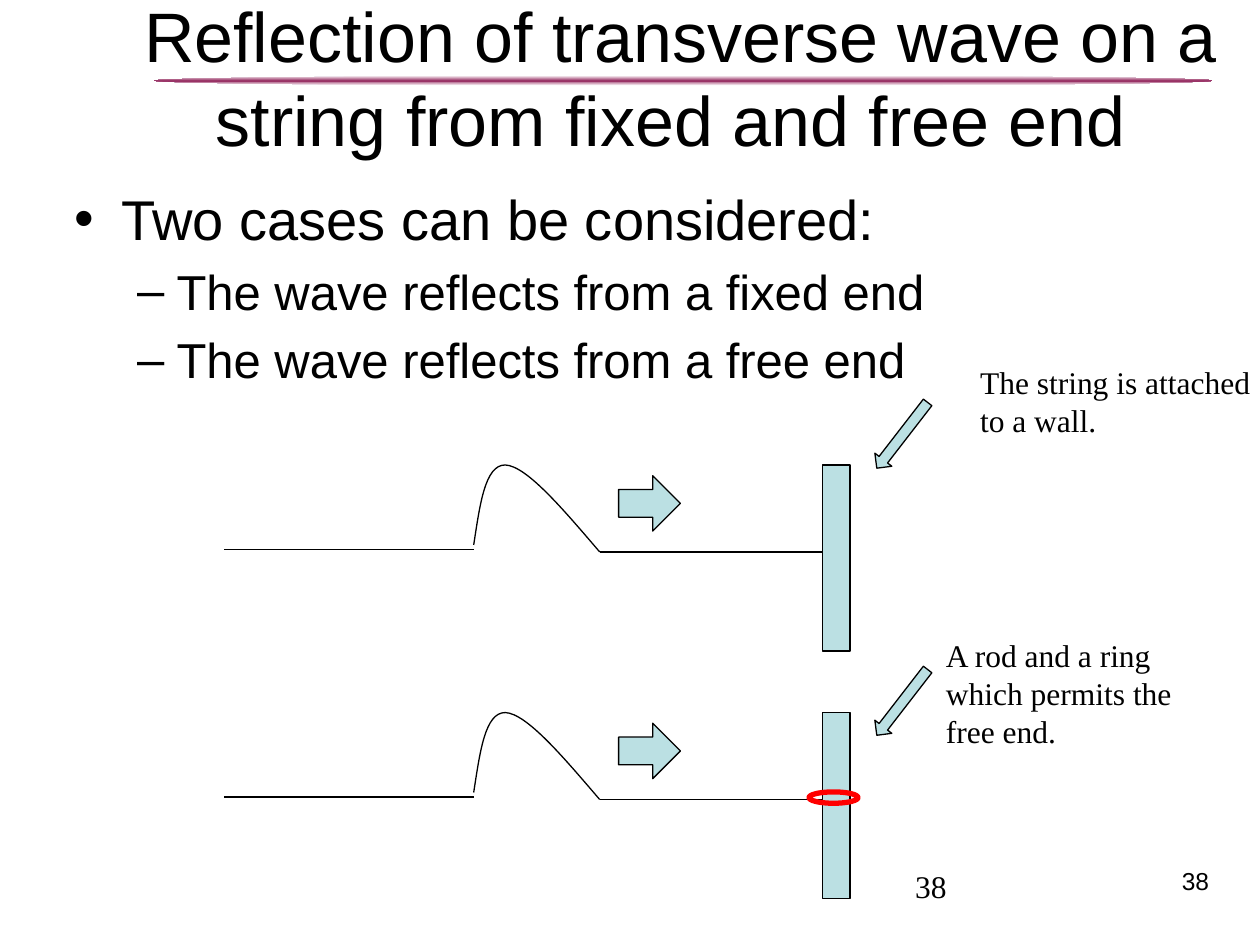
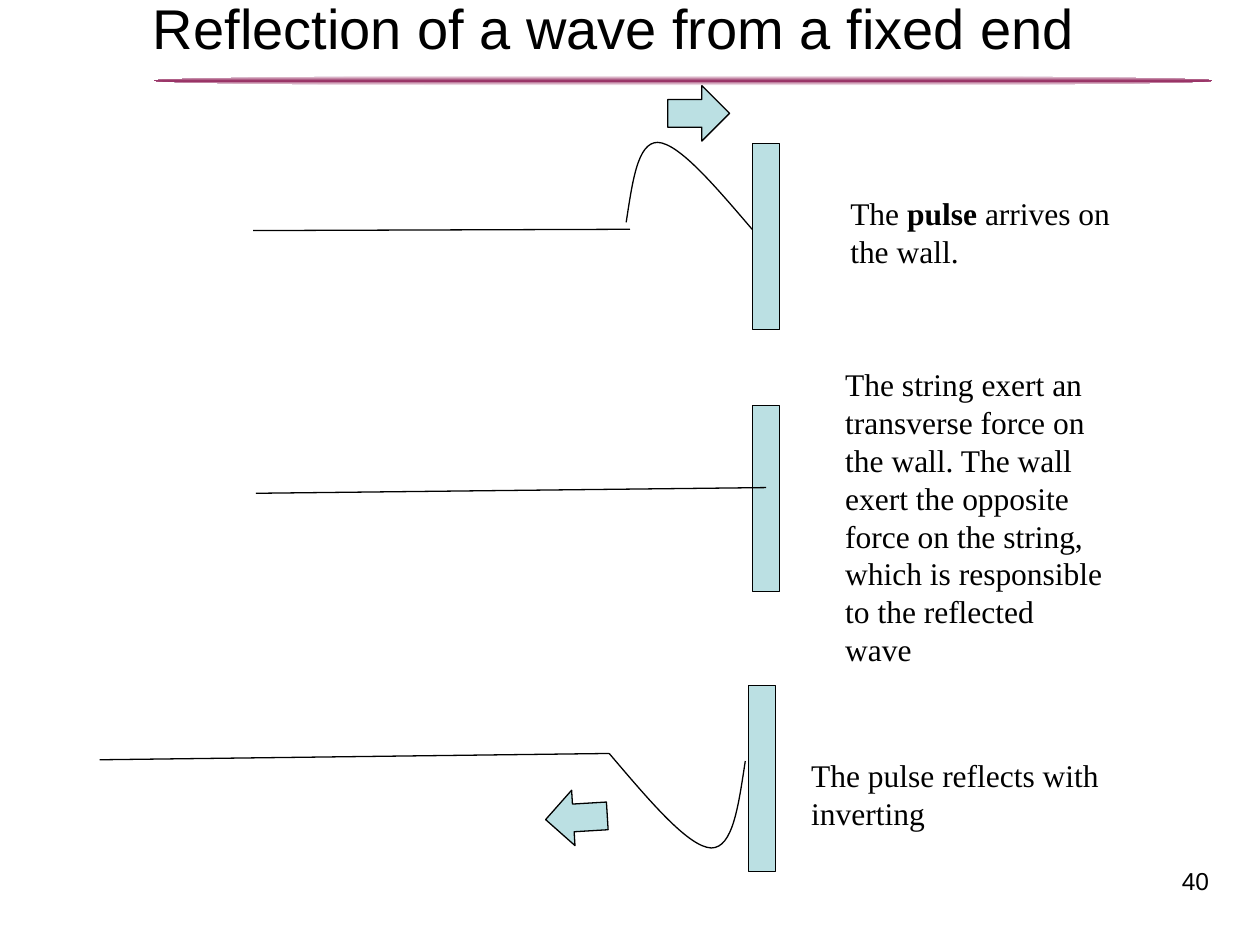
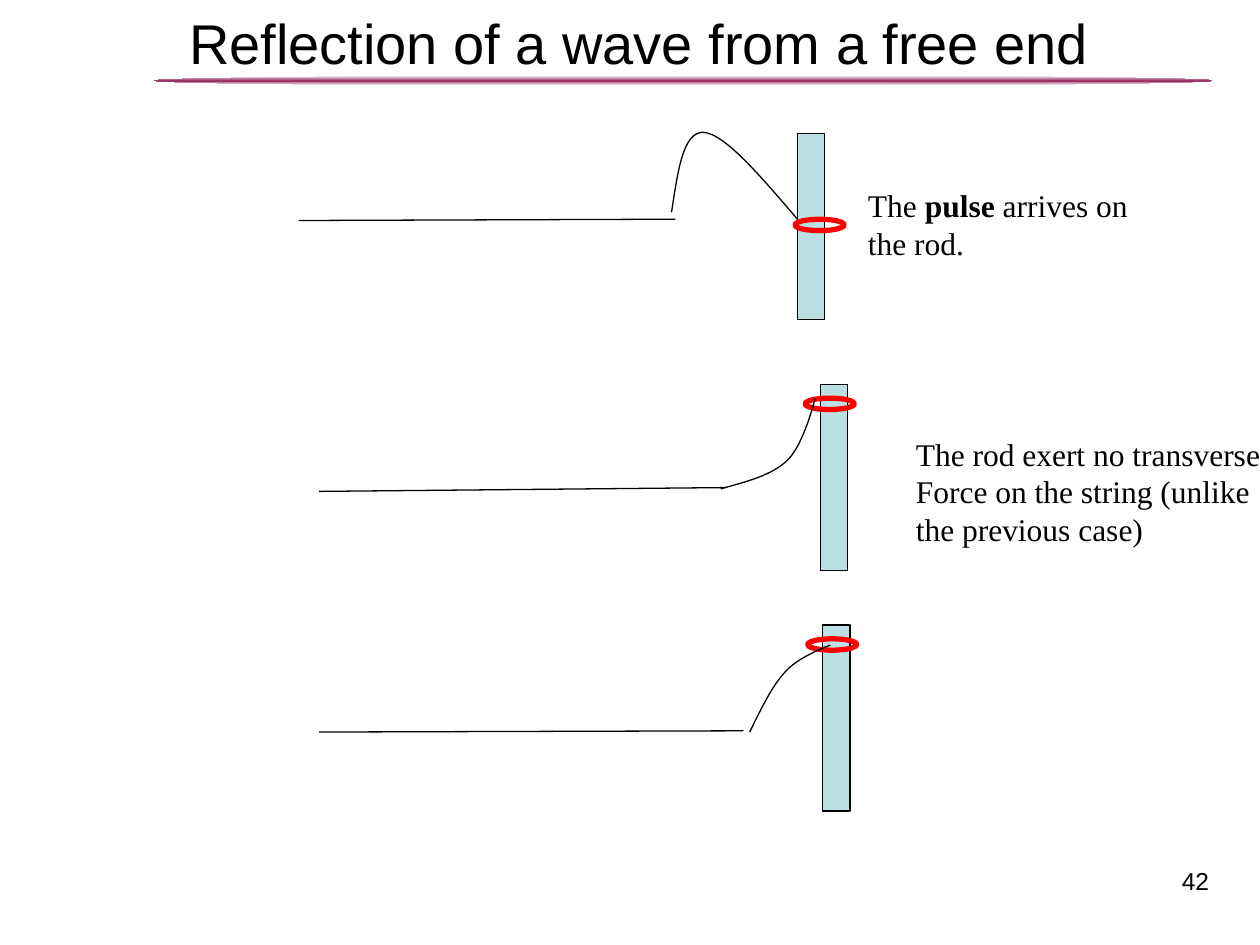
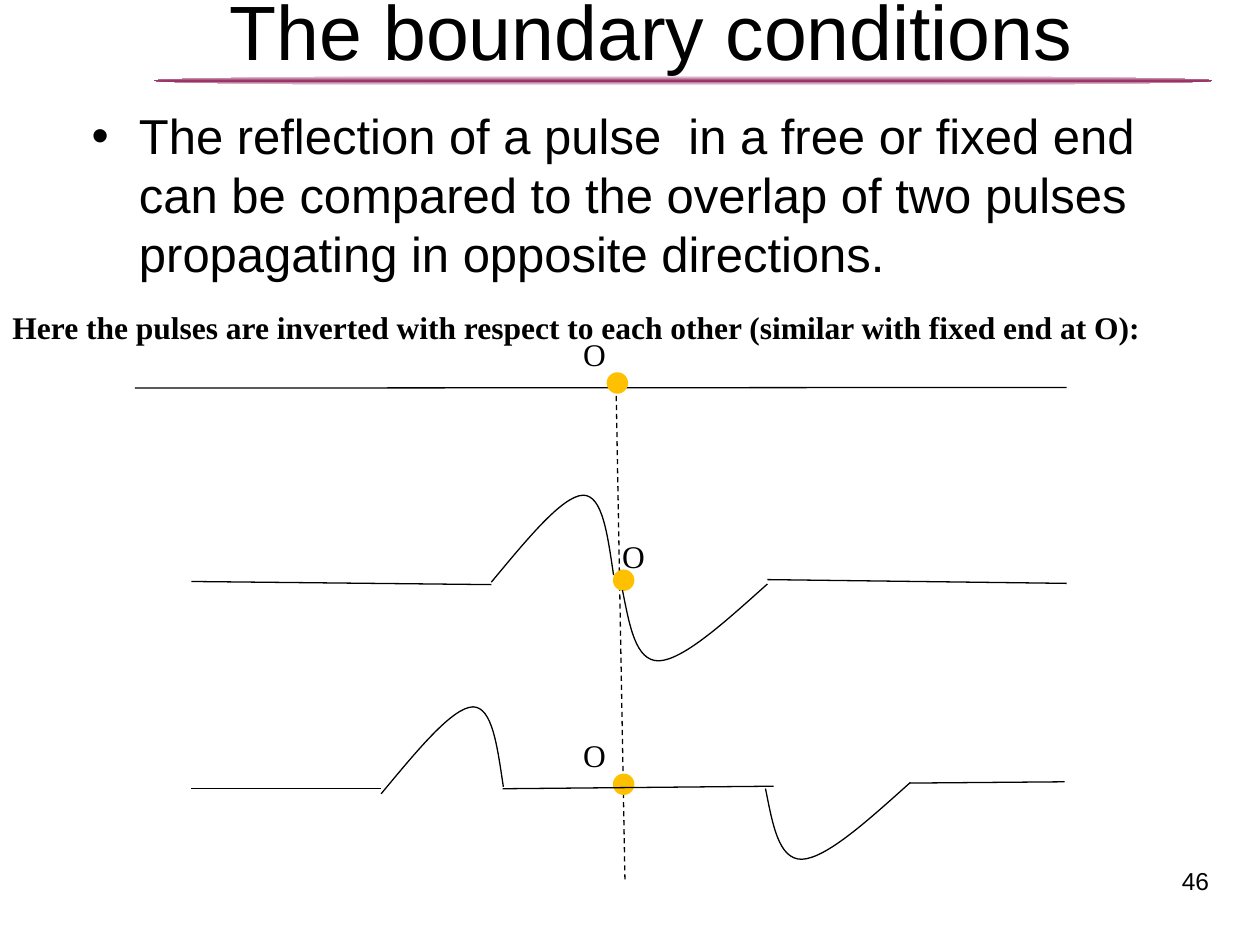
from copy import deepcopy
from dataclasses import dataclass

from lxml import etree
from pptx import Presentation
from pptx.dml.color import RGBColor
from pptx.enum.dml import MSO_LINE
from pptx.enum.shapes import MSO_CONNECTOR, MSO_SHAPE
from pptx.enum.text import MSO_ANCHOR, MSO_AUTO_SIZE, PP_ALIGN
from pptx.oxml.ns import qn
from pptx.util import Emu, Inches, Pt

RECTANGLE, ELLIPSE, ARROW = MSO_SHAPE.RECTANGLE, MSO_SHAPE.OVAL, MSO_SHAPE.RIGHT_ARROW
STRAIGHT, DASH = MSO_CONNECTOR.STRAIGHT, MSO_LINE.DASH
LEFT, CENTER, RIGHT = PP_ALIGN.LEFT, PP_ALIGN.CENTER, PP_ALIGN.RIGHT
TOP, NO_AUTOFIT = MSO_ANCHOR.TOP, MSO_AUTO_SIZE.NONE

COLUMNS = 100  # square grid cells: 100 columns by 75 rows
TITLE_ONLY = 5

# Bezier control points in a unit box, three more for each further segment
PULSE = ((0, 0.92), (0.05, 0.45), (0.09, 0), (0.25, 0), (0.42, 0.01), (0.71, 0.51), (1, 1))
STEEP_RISE = ((0, 1), (0.27, 0.92), (0.55, 0.85), (0.71, 0.68), (0.88, 0.51), (1, 0), (1, 0))
FLAT_RISE = ((0, 1), (0.14, 0.74), (0.28, 0.46), (0.45, 0.3), (0.61, 0.13), (1, 0), (1, 0))


@dataclass(frozen=True)
class Theme:
    ink: RGBColor = RGBColor(0, 0, 0)
    paper: RGBColor = RGBColor(255, 255, 255)
    rule: RGBColor = RGBColor(0x99, 0x33, 0x66)
    solid: RGBColor = RGBColor(0xBB, 0xE0, 0xE3)
    ring: RGBColor = RGBColor(255, 0, 0)
    dot: RGBColor = RGBColor(255, 0xC0, 0)
    heading_font: str = "Arial"
    note_font: str = "Times New Roman"
    title_size: int = 32
    number_size: int = 14
    note_size: int = 18
    thin: float = 0.75
    thick: float = 3
    line_height: float = 1.2
    paragraph_gap: float = 0.2


class Deck:
    """Holds the theme and the current slide; every length is in grid cells."""

    def __init__(self, theme):
        self.theme = theme
        self.presentation = Presentation()
        self.presentation.slide_width = Inches(10)
        self.presentation.slide_height = Inches(7.5)
        self.cell = self.presentation.slide_width / COLUMNS
        self.slide = None

    def cells(self, *counts):
        return [Emu(round(count * self.cell)) for count in counts]

    def style(self, paragraph, size, font, align=LEFT):
        paragraph.alignment = align
        paragraph.line_spacing = Pt(size * self.theme.line_height)
        paragraph.font.size = Pt(size)
        paragraph.font.name = font
        paragraph.font.color.rgb = self.theme.ink

    def start_slide(self, title, left, top, number, size=None, right_margin=1):
        layout = self.presentation.slide_layouts[TITLE_ONLY]
        self.slide = self.presentation.slides.add_slide(layout)
        shape = self.slide.shapes.title
        shape.left, shape.top, shape.width, shape.height = self.cells(left, top, 90, 12.5)
        frame = shape.text_frame
        frame.text = title
        frame.vertical_anchor = TOP
        frame.auto_size = NO_AUTOFIT
        frame.margin_right, = self.cells(right_margin)
        self.style(frame.paragraphs[0], size or self.theme.title_size, self.theme.heading_font, CENTER)
        self.style(self.text_frame(73.65, 68.2, 23.3, 4.5, number).paragraphs[0],
                   self.theme.number_size, self.theme.heading_font, RIGHT)

    def text_frame(self, left, top, width, height, text=""):
        frame = self.slide.shapes.add_textbox(*self.cells(left, top, width, height)).text_frame
        frame.word_wrap = True
        frame.text = text
        return frame

    def note(self, left, top, width, height, *lines, bold=None):
        """Add a text box; the words given as bold stand out in each line."""
        frame = self.text_frame(left, top, width, height)
        for index, line in enumerate(lines):
            paragraph = frame.add_paragraph() if index else frame.paragraphs[0]
            self.style(paragraph, self.theme.note_size, self.theme.note_font)
            for part in filter(None, line.partition(bold) if bold else (line,)):
                run = paragraph.add_run()
                run.text = part
                if part == bold:
                    run.font.bold = True

    def bullets(self, left, top, *items):
        """Add items of (level, size, text)."""
        frame = self.text_frame(left, top, 90, 49.5)
        for index, (level, size, text) in enumerate(items):
            paragraph = frame.add_paragraph() if index else frame.paragraphs[0]
            mark, margin, indent = (("•", 3.75, -3.75), ("–", 8.13, -3.13))[level]
            properties = paragraph._p.get_or_add_pPr()
            for name, length in zip(("marL", "indent"), self.cells(margin, indent)):
                properties.set(name, str(length))
            etree.SubElement(properties, qn("a:buFont")).set("typeface", self.theme.heading_font)
            etree.SubElement(properties, qn("a:buChar")).set("char", mark)
            paragraph.level = level
            paragraph.text = text
            if index:
                paragraph.space_before = Pt(size * self.theme.paragraph_gap)
            self.style(paragraph, size, self.theme.heading_font)

    def outline(self, shape, fill=None, color=None, weight=None):
        shape.shadow.inherit = False
        if fill is None:
            shape.fill.background()
        else:
            shape.fill.solid()
            shape.fill.fore_color.rgb = fill
        shape.line.color.rgb = color or self.theme.ink
        shape.line.width = Pt(weight or self.theme.thin)

    def shape(self, kind, left, top, width, height):
        return self.slide.shapes.add_shape(kind, *self.cells(left, top, width, height))

    def wall(self, left, top):
        self.outline(self.shape(RECTANGLE, left, top, 2.17, 14.76), self.theme.solid)

    def arrow(self, left, top, width=4.9, height=4.4, rotation=0):
        arrow = self.shape(ARROW, left, top, width, height)
        arrow.rotation = rotation
        self.outline(arrow, self.theme.solid)

    def ring(self, left, top):
        self.outline(self.shape(ELLIPSE, left, top, 3.9, 0.9), None, self.theme.ring, self.theme.thick)

    def dot(self, left, top):
        self.outline(self.shape(ELLIPSE, left, top, 1.6, 1.6), self.theme.dot, self.theme.dot)

    def line(self, x1, y1, x2, y2, dash=None):
        connector = self.slide.shapes.add_connector(STRAIGHT, *self.cells(x1, y1, x2, y2))
        connector.line.color.rgb = self.theme.ink
        connector.line.width = Pt(self.theme.thin)
        if dash:
            connector.line.dash_style = dash
        etree.SubElement(connector.element.spPr, qn("a:effectLst"))

    def curve(self, controls, left, top, width=10, height=6.9, mirrored=False, inverted=False):
        """Draw a Bezier chain: every three line steps become one cubic segment."""
        points = [self.cells(left + width * (1 - x if mirrored else x),
                             top + height * (1 - y if inverted else y))
                  for x, y in controls]
        builder = self.slide.shapes.build_freeform(*points[0])
        builder.add_line_segments(points[1:], close=False)
        shape = builder.convert_to_shape()
        steps = list(shape.element.iter(qn("a:lnTo")))
        for first in range(0, len(steps), 3):
            segment = etree.Element(qn("a:cubicBezTo"))
            steps[first].addprevious(segment)
            for step in steps[first:first + 3]:
                segment.append(step[0])
                step.getparent().remove(step)
        self.outline(shape)

    def add_rule_to_layout(self):
        """Draw the tapered rule and hand it to the layout all slides share."""
        rule = self.shape(ELLIPSE, 12.25, 6, 84, 0.8)
        rule.shadow.inherit = False
        rule.line.fill.background()
        rule.fill.gradient()
        rule.fill.gradient_angle = 90
        stop_list = rule.element.find(".//" + qn("a:gsLst"))
        stop_list.insert(1, deepcopy(stop_list[0]))
        colors = (self.theme.paper, self.theme.rule, self.theme.paper)
        for stop, position, color in zip(rule.fill.gradient_stops, (0, 0.5, 1), colors):
            stop.position = position
            stop.color.rgb = color
        self.slide.slide_layout.shapes.element.append(rule.element)


def add_two_cases(deck):
    deck.start_slide("Reflection of transverse wave on a string from fixed and free end ",
                     9, -1.1, "38", size=40)
    deck.bullets(4.9, 14.13,
                 (0, 32, "Two cases can be considered:"),
                 (1, 28, "The wave reflects from a fixed end"),
                 (1, 28, "The wave reflects from a free end"))
    deck.note(71.65, 68.3, 23.3, 5.2, "38")
    for top, pointer_top in ((36.9, 33.7), (56.55, 54.9)):
        deck.line(47.6, top + 6.9, 67.5, top + 6.9)
        deck.wall(65.3, top)
        deck.curve(PULSE, 37.6, top)
        deck.line(17.8, top + 6.7, 37.6, top + 6.7)
        deck.arrow(49.1, top + 0.85)
        deck.arrow(68.3, pointer_top, 6.6, 1.7, rotation=127.7)
    deck.ring(64.2, 62.85)
    deck.note(74.1, 50, 20, 10.1, "A rod and a ring which permits the free end.")
    deck.note(76.8, 28.3, 26.8, 7.1, "The string is attached", "to a wall.")


def add_fixed_end(deck):
    deck.start_slide("Reflection of a wave from a fixed end", 5, -1, "40", right_margin=3.5)
    for left, top in ((59.7, 11.4), (59.7, 32.2), (59.4, 54.4)):
        deck.wall(left, top)
    deck.curve(PULSE, 49.7, 11.3)
    deck.line(20.1, 18.3, 50, 18.2)
    deck.arrow(53, 6.8)
    deck.note(66.5, 14.9, 22.8, 10.1, "The pulse arrives on the wall.", bold="pulse")
    deck.line(20.3, 39.15, 60.8, 38.7)
    deck.note(66.1, 28.5, 22.8, 22.2,
              "The string exert an transverse force on the wall. The wall exert the opposite "
              "force on the string, which is responsible to the reflected wave")
    deck.line(7.9, 60.3, 48.35, 59.8)
    deck.curve(PULSE, 48.35, 59.8, 10.8, 7.5, mirrored=True, inverted=True)
    deck.arrow(43.3, 62.7, rotation=176.5)
    deck.note(63.4, 59.5, 33.6, 4, "The pulse reflects with inverting")


def add_free_end(deck):
    deck.start_slide("Reflection of a wave from a free end", 7, 0.2, "42", right_margin=3.5)
    for left, top in ((63.3, 10.6), (65.1, 30.5), (65.3, 49.6)):
        deck.wall(left, top)
    for left, top in ((63.1, 17.4), (63.9, 31.6), (64.1, 50.7)):
        deck.ring(left, top)
    deck.curve(PULSE, 53.3, 10.5)
    deck.line(23.7, 17.5, 53.6, 17.4)
    deck.line(25.3, 39, 57.6, 38.7)
    deck.curve(STEEP_RISE, 57.2, 31.6, 7.5, 7.2)
    deck.line(25.3, 58.1, 59, 58)
    deck.curve(FLAT_RISE, 59.5, 51.2, 6.4, 6.9)
    deck.note(67.9, 14.3, 22.8, 7.1, "The pulse arrives on the rod.", bold="pulse")
    deck.note(71.7, 34, 29.9, 10.1, "The rod exert no transverse",
              "Force on the string (unlike the previous case)")


def add_boundary_conditions(deck):
    deck.start_slide("The boundary conditions", 6.7, -1.8, "46", size=44)
    deck.bullets(6.3, 7.9, (0, 28, "The reflection of a pulse  in a free or fixed end can be compared "
                                   "to the overlap of two pulses propagating in opposite directions."))
    heading = "Here the pulses are inverted with respect to each other (similar with fixed end at O):"
    deck.note(0, 23.95, 92.5, 7.1, heading, bold=heading)
    deck.line(49.6, 69.8, 48.9, 30.8, DASH)
    deck.line(10.7, 30.8, 84.65, 30.75)
    for left, top in ((48.2, 29.6), (48.7, 45.25), (48.7, 61.45)):
        deck.dot(left, top)
    for left, top in ((45.3, 26.1), (48.4, 42.1), (45.3, 57.9)):
        deck.note(left, top, 4, 4, "O")
    for left, top in ((39, 39.3), (30.25, 56.1)):
        deck.curve(PULSE, left, top, 9.7, 6.9, mirrored=True)
    for left, top in ((49.4, 46.35), (60.75, 62.1)):
        deck.curve(PULSE, left, top, 11.5, 6.1, inverted=True)
    deck.line(15.2, 46.15, 39, 46.4)
    deck.line(60.9, 46, 84.65, 46.3)
    deck.line(15.2, 62.6, 30.25, 62.6)
    deck.line(39.9, 62.6, 61.4, 62.4)
    deck.line(72.2, 62.15, 84.5, 62.05)


def main():
    deck = Deck(Theme())
    for add_slide in (add_two_cases, add_fixed_end, add_free_end, add_boundary_conditions):
        add_slide(deck)
    deck.add_rule_to_layout()
    deck.presentation.save("out.pptx")


if __name__ == "__main__":
    main()
